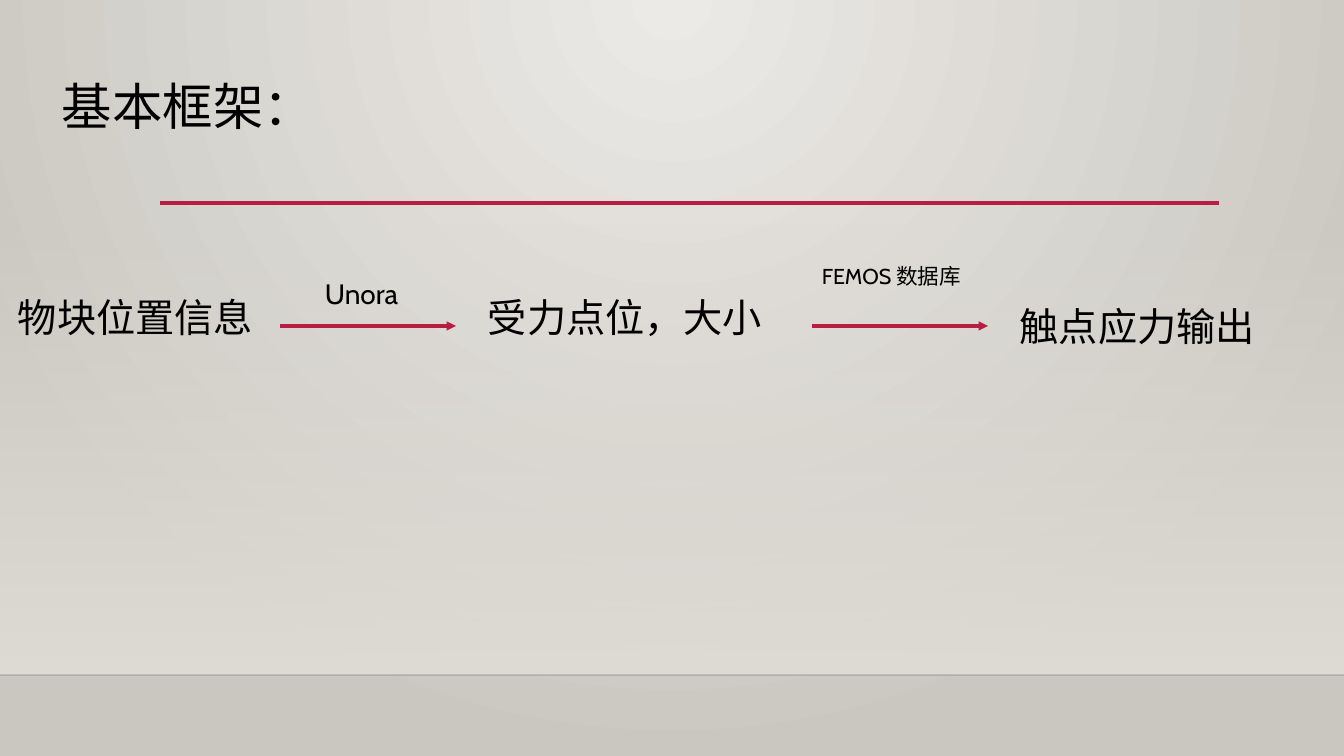
from lxml import etree
from pptx import Presentation
from pptx.dml.color import RGBColor
from pptx.enum.shapes import MSO_CONNECTOR, MSO_SHAPE
from pptx.enum.text import MSO_ANCHOR
from pptx.oxml.ns import qn
from pptx.util import Pt

STRAIGHT = MSO_CONNECTOR.STRAIGHT
RECTANGLE = MSO_SHAPE.RECTANGLE
TOP = MSO_ANCHOR.TOP

BLACK = RGBColor(0x00, 0x00, 0x00)
CRIMSON = RGBColor(0xB7, 0x1E, 0x42)
PALE = RGBColor(0xEC, 0xEA, 0xE7)
STONE = RGBColor(0xCA, 0xC7, 0xC1)
SAND = RGBColor(0xDF, 0xDB, 0xD5)

WIDTH, HEIGHT = 1344, 756
FLOOR = 675
ARROW_Y = 326


def px(length):
    return round(length * 9144000 / 1008)


def add_child(parent, tag, **attributes):
    child = etree.SubElement(parent, qn(tag))
    for name, value in attributes.items():
        child.set(name, str(value))
    return child


def write_text(frame, text, size=28, spacing=None, color=BLACK, font="Cabin"):
    para = frame.paragraphs[0]
    para.line_spacing = spacing
    span = para.add_run()
    span.text = text
    span.font.size = Pt(size)
    span.font.name = font
    span.font.color.rgb = color


def set_stops(gradient, stops):
    for child in list(gradient):
        gradient.remove(child)
    stop_list = add_child(gradient, "a:gsLst")
    for position, color, opacity in stops:
        stop = add_child(stop_list, "a:gs", pos=position * 1000)
        tone = add_child(stop, "a:srgbClr", val=color)
        if opacity < 100:
            add_child(tone, "a:alpha", val=opacity * 1000)


class SlideBuilder:
    """Draws styled elements on one slide, measured in pixels."""

    def __init__(self, page):
        self.page = page

    def backdrop(self, inner, outer):
        self.page.background.fill.gradient()
        gradient = self.page.element.find(".//" + qn("p:bgPr")).find(qn("a:gradFill"))
        set_stops(gradient, [(0, inner, 100), (100, outer, 100)])
        circle = add_child(gradient, "a:path", path="circle")
        add_child(circle, "a:fillToRect", l=43000, t=0, r=43000, b=100000)

    def fade(self, left, top, width, height, color):
        shape = self.page.shapes.add_shape(RECTANGLE, px(left), px(top), px(width), px(height))
        shape.shadow.inherit = False
        shape.line.fill.background()
        shape.fill.gradient()
        gradient = shape.element.spPr.find(qn("a:gradFill"))
        set_stops(gradient, [(0, color, 0), (100, color, 100)])
        add_child(gradient, "a:lin", ang=5400000, scaled=0)

    def line(self, left, right, y, color=CRIMSON, weight=2.25, opacity=100, arrow=False):
        connector = self.page.shapes.add_connector(STRAIGHT, px(left), px(y), px(right), px(y))
        connector.line.color.rgb = color
        connector.line.width = Pt(weight)
        properties = connector.element.spPr
        outline = properties.find(qn("a:ln"))
        if opacity < 100:
            add_child(outline.find(".//" + qn("a:srgbClr")), "a:alpha", val=opacity * 1000)
        if arrow:
            add_child(outline, "a:tailEnd", type="triangle")
        add_child(properties, "a:effectLst")

    def text(self, left, top, width, height, text, wrap=True, **style):
        box = self.page.shapes.add_textbox(px(left), px(top), px(width), px(height))
        frame = box.text_frame
        frame.word_wrap = wrap
        frame.vertical_anchor = TOP
        write_text(frame, text, **style)


def main():
    deck = Presentation()
    deck.slide_width, deck.slide_height = px(WIDTH), px(HEIGHT)
    slide = SlideBuilder(deck.slides.add_slide(deck.slide_layouts[6]))

    slide.backdrop(PALE, STONE)
    slide.fade(0, 223, WIDTH, FLOOR - 223, SAND)
    slide.line(0, WIDTH, FLOOR, color=BLACK, weight=1, opacity=20)
    slide.line(160, 1219, 203, weight=2.5)

    slide.text(52, 70, 275, 72, "基本框架：", size=36, wrap=False)
    slide.text(8, 288, 258, 57, "物块位置信息", wrap=False)
    slide.text(478, 288, 312, 57, "受力点位，大小")
    slide.text(1010, 297, 312, 57, "触点应力输出")

    for left in (280, 812):
        slide.line(left, left + 176, ARROW_Y, arrow=True)
    slide.text(315, 265, 115, 47, "Unora", size=20, spacing=1.2)
    slide.text(812, 265, 175, 47, "FEMOS 数据库", size=15.4, spacing=0.7)

    deck.save("out.pptx")


if __name__ == "__main__":
    main()
